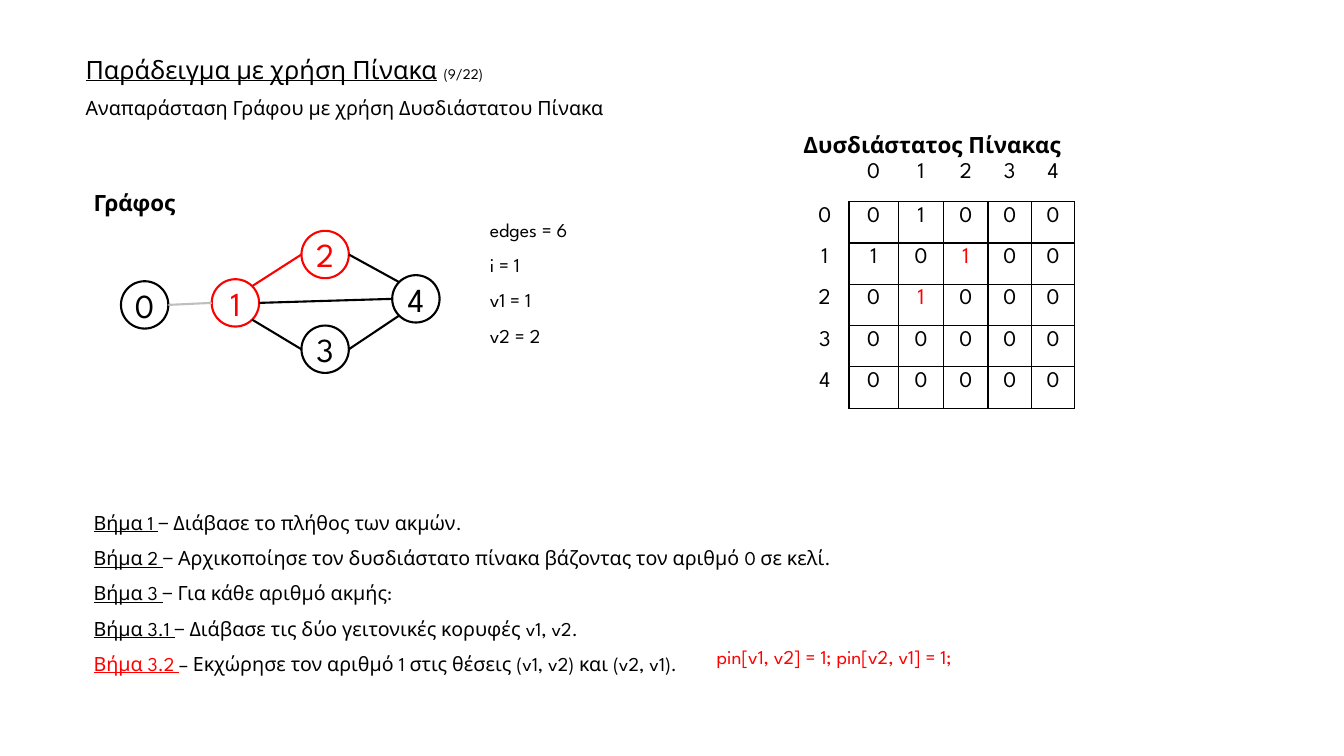
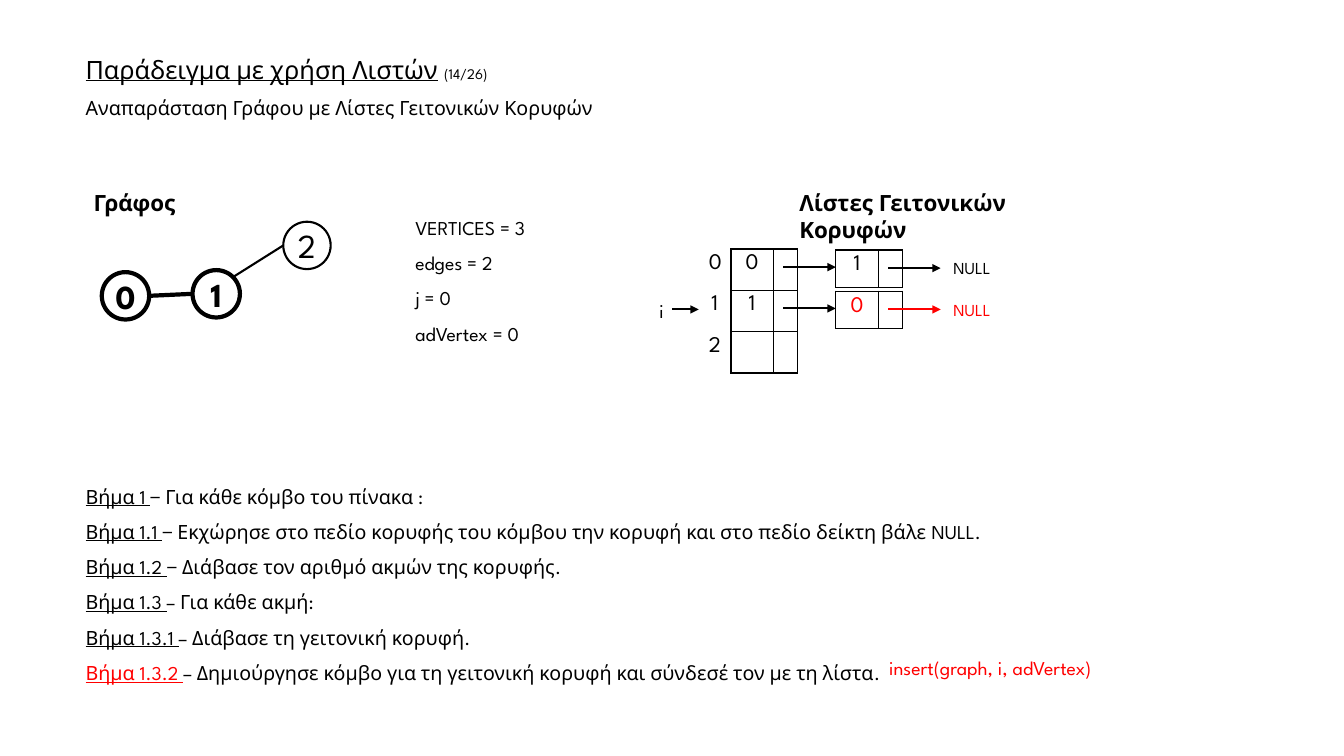
from math import sqrt

from lxml import etree
from pptx import Presentation
from pptx.dml.color import RGBColor
from pptx.enum import shapes, text
from pptx.oxml import ns
from pptx.util import Inches, Pt

BLACK = RGBColor(0x00, 0x00, 0x00)
RED = RGBColor(0xFF, 0x00, 0x00)
GRAY = RGBColor(0xBF, 0xBF, 0xBF)
FONT = "League Spartan"
CENTER = text.PP_ALIGN.CENTER

NODE = 0.47
DIAGONAL = sqrt(0.5)
SITES = {
    "left": (-1, 0), "right": (1, 0),
    "top left": (-DIAGONAL, -DIAGONAL), "top right": (DIAGONAL, -DIAGONAL),
    "bottom left": (-DIAGONAL, DIAGONAL), "bottom right": (DIAGONAL, DIAGONAL),
}
CELL_SIDES = {"lnL": (0, -1), "lnR": (0, 1), "lnT": (-1, 0), "lnB": (1, 0)}


def add_run(paragraph, words, size, color=BLACK, bold=False, underline=False):
    run = paragraph.add_run()
    run.text = words
    font = run.font
    font.name, font.size, font.bold, font.underline = FONT, Pt(size), bold, underline
    font.color.rgb = color


def add_text(slide, box, paragraphs, spacing=1.0, gap=0, align=None):
    """Each paragraph is a list of (words, size, options) runs."""
    frame = slide.shapes.add_textbox(*map(Inches, box)).text_frame
    frame.word_wrap = True
    for index, runs in enumerate(paragraphs):
        paragraph = frame.add_paragraph() if index else frame.paragraphs[0]
        paragraph.line_spacing = spacing
        paragraph.alignment = align
        if index and gap:
            paragraph.space_before = Pt(gap)
        for words, size, options in runs:
            add_run(paragraph, words, size, **options)


def add_title(slide, title, progress, subtitle):
    heading = [(title, 18, {"underline": True}), (" ", 18, {}), (progress, 10.5, {})]
    add_text(slide, (0.75, 0.52, 11.83, 1.05), [heading, [(subtitle, 14, {})]], 0.9, 10)


def add_heading(slide, left, top, width, words):
    add_text(slide, (left, top, width, 0.37), [[(words, 16, {"bold": True})]])


def add_variables(slide, left, top, lines):
    add_text(slide, (left, top, 2.22, 1.53), [[(line, 14, {})] for line in lines], 0.9, 10)


def add_code(slide, left, top, width, code):
    add_text(slide, (left, top, width, 0.39), [[(code, 14, {"color": RED})]], 0.9)


def add_steps(slide, left, top, height, steps):
    """List the steps of the algorithm; the last one is the current step."""
    paragraphs = []
    for number, action in steps:
        color = RED if number == steps[-1][0] else BLACK
        paragraphs.append([(f"Βήμα {number} ", 14, {"color": color, "underline": True}),
                           (action, 14, {})])
    add_text(slide, (left, top, 12.35, height), paragraphs, 1.5)


def add_line(slide, start, end, color=BLACK, width=1.5, arrow=False):
    line = slide.shapes.add_connector(
        shapes.MSO_CONNECTOR.STRAIGHT, *map(Inches, (*start, *end)))
    line.line.color.rgb = color
    line.line.width = Pt(width)
    properties = line._element.spPr
    etree.SubElement(properties, ns.qn("a:effectLst"))
    if arrow:
        etree.SubElement(properties.find(ns.qn("a:ln")), ns.qn("a:tailEnd"), type="triangle")


def add_node(slide, position, label, color=BLACK, visited=False):
    node = slide.shapes.add_shape(
        shapes.MSO_SHAPE.OVAL, *map(Inches, (*position, NODE, NODE)))
    node.shadow.inherit = False
    node.fill.background()
    node.line.color.rgb = color
    node.line.width = Pt(3 if visited else 1.5)
    frame = node.text_frame
    frame.margin_left = frame.margin_right = frame.margin_top = frame.margin_bottom = 0
    frame.vertical_anchor = text.MSO_ANCHOR.MIDDLE
    frame.word_wrap = False
    frame.paragraphs[0].alignment = CENTER
    add_run(frame.paragraphs[0], label, 24, color, visited)


def add_graph(slide, nodes, edges, active=(), visited=()):
    """Edges are (node, site, node, site, colour, width)."""
    def site_point(label, site):
        return [corner + NODE / 2 * (1 + offset)
                for corner, offset in zip(nodes[label], SITES[site])]

    for label, position in nodes.items():
        add_node(slide, position, label, RED if label in active else BLACK, label in visited)
    for first, first_site, second, second_site, color, width in edges:
        add_line(slide, site_point(first, first_site), site_point(second, second_site),
                 color, width)


def add_side(cell, side, visible):
    border = etree.SubElement(cell._tc.get_or_add_tcPr(), ns.qn(f"a:{side}"), w=str(Pt(1)))
    if visible:
        fill = etree.SubElement(border, ns.qn("a:solidFill"))
        etree.SubElement(fill, ns.qn("a:srgbClr"), val=str(BLACK))
    else:
        etree.SubElement(border, ns.qn("a:noFill"))


def add_grid(slide, position, widths, heights, values, label_rows=0, label_columns=0, red=()):
    """Draw a boxed table whose label rows and columns stay outside the box."""
    def boxed(row, column):
        return (label_rows <= row < len(heights)
                and label_columns <= column < len(widths))

    table = slide.shapes.add_table(
        len(heights), len(widths),
        *map(Inches, (*position, sum(widths), sum(heights)))).table
    table.first_row = table.horz_banding = False
    for column, width in enumerate(widths):
        table.columns[column].width = Inches(width)
    for row, height in enumerate(heights):
        table.rows[row].height = Inches(height)
        for column, value in enumerate(values[row]):
            cell = table.cell(row, column)
            for side, (down, right) in CELL_SIDES.items():
                add_side(cell, side,
                         boxed(row, column) or boxed(row + down, column + right))
            cell.fill.background()
            if value.strip():
                cell.text_frame.paragraphs[0].alignment = CENTER
                add_run(cell.text_frame.paragraphs[0], value, 16,
                        RED if (row, column) in red else BLACK)
            else:
                cell.margin_top = cell.margin_bottom = 0


def add_list_node(slide, top, vertex, color):
    """Draw a neighbour node, the arrow that leads to it and its NULL pointer."""
    add_grid(slide, (8.29, top), [0.42, 0.23], [0.37], [[vertex, ""]],
             red=[(0, 0)] if color == RED else ())
    middle = top + 0.18
    add_line(slide, (7.77, middle - 0.01), (8.29, middle - 0.01), arrow=True)
    add_line(slide, (8.81, middle), (9.33, middle), color, arrow=True)
    add_text(slide, (9.33, top + 0.03, 0.62, 0.3), [[("NULL", 12, {"color": color})]],
             align=CENTER)


def build_matrix_slide(slide):
    add_title(slide, "Παράδειγμα με χρήση Πίνακα", "(9/22)",
              "Αναπαράσταση Γράφου με χρήση Δυσδιάστατου Πίνακα")
    add_heading(slide, 0.83, 1.83, 1.08, "Γράφος")
    add_graph(
        slide,
        {"0": (1.2, 2.79), "1": (2.1, 2.77), "2": (2.99, 2.29),
         "3": (2.99, 3.23), "4": (3.89, 2.73)},
        [("0", "right", "1", "left", GRAY, 1.5),
         ("1", "top right", "2", "left", RED, 1.5),
         ("1", "bottom right", "3", "left", BLACK, 1.5),
         ("1", "right", "4", "left", BLACK, 1.5),
         ("2", "right", "4", "top left", BLACK, 1.5),
         ("3", "right", "4", "bottom left", BLACK, 1.5)],
        active="12")
    add_variables(slide, 4.76, 2.14, ["edges = 6", "i = 1", "v1 = 1", "v2 = 2"])
    add_heading(slide, 7.87, 1.25, 3.25, "Δυσδιάστατος Πίνακας")
    add_grid(slide, (7.94, 1.57), [0.48, 0.49, 0.45, 0.44, 0.43, 0.43],
             [0.43] + [0.41] * 5,
             [" 01234", "001000", "110100", "201000", "300000", "400000"],
             label_rows=1, label_columns=1, red=[(2, 3), (3, 2)])
    add_steps(slide, 0.83, 4.9, 1.82, [
        ("1", "− Διάβασε το πλήθος των ακμών."),
        ("2", "− Αρχικοποίησε τον δυσδιάστατο πίνακα βάζοντας τον αριθμό 0 σε κελί."),
        ("3", "− Για κάθε αριθμό ακμής:"),
        ("3.1", "− Διάβασε τις δύο γειτονικές κορυφές v1, v2."),
        ("3.2", "– Εκχώρησε τον αριθμό 1 στις θέσεις (v1, v2) και (v2, v1)."),
    ])
    add_code(slide, 7.01, 6.37, 3.95, "pin[v1, v2] = 1; pin[v2, v1] = 1;")


def build_lists_slide(slide):
    add_title(slide, "Παράδειγμα με χρήση Λιστών", "(14/26)",
              "Αναπαράσταση Γράφου με Λίστες Γειτονικών Κορυφών")
    add_heading(slide, 0.83, 1.83, 1.08, "Γράφος")
    add_graph(
        slide,
        {"0": (1.01, 2.7), "1": (1.91, 2.68), "2": (2.81, 2.2)},
        [("0", "right", "1", "left", BLACK, 3),
         ("1", "top right", "2", "left", BLACK, 1.5)],
        visited="01")
    add_variables(slide, 4.02, 2.12, ["VERTICES = 3", "edges = 2", "j = 0", "adVertex = 0"])
    add_heading(slide, 7.83, 1.83, 3.25, "Λίστες Γειτονικών Κορυφών")
    add_grid(slide, (6.93, 2.47), [0.32, 0.42, 0.23], [0.41] * 3,
             ["00 ", "11 ", "2  "], label_columns=1)
    add_list_node(slide, 2.48, "1", BLACK)
    add_list_node(slide, 2.89, "0", RED)
    add_text(slide, (6.44, 2.92, 0.25, 0.34), [[("i", 14, {})]])
    add_line(slide, (6.67, 3.07), (6.93, 3.07), arrow=True)
    add_steps(slide, 0.75, 4.64, 2.18, [
        ("1", "− Για κάθε κόμβο του πίνακα :"),
        ("1.1", "− Εκχώρησε στο πεδίο κορυφής του κόμβου την κορυφή "
                "και στο πεδίο δείκτη βάλε NULL."),
        ("1.2", "− Διάβασε τον αριθμό ακμών της κορυφής."),
        ("1.3", "– Για κάθε ακμή:"),
        ("1.3.1", "– Διάβασε τη γειτονική κορυφή."),
        ("1.3.2", "– Δημιούργησε κόμβο για τη γειτονική κορυφή και σύνδεσέ τον με τη λίστα."),
    ])
    add_code(slide, 8.72, 6.48, 3.53, "insert(graph, i, adVertex)")


def main():
    deck = Presentation()
    deck.slide_width, deck.slide_height = Inches(13.33), Inches(7.5)
    for build in (build_matrix_slide, build_lists_slide):
        build(deck.slides.add_slide(deck.slide_layouts[6]))
    deck.save("out.pptx")


if __name__ == "__main__":
    main()
